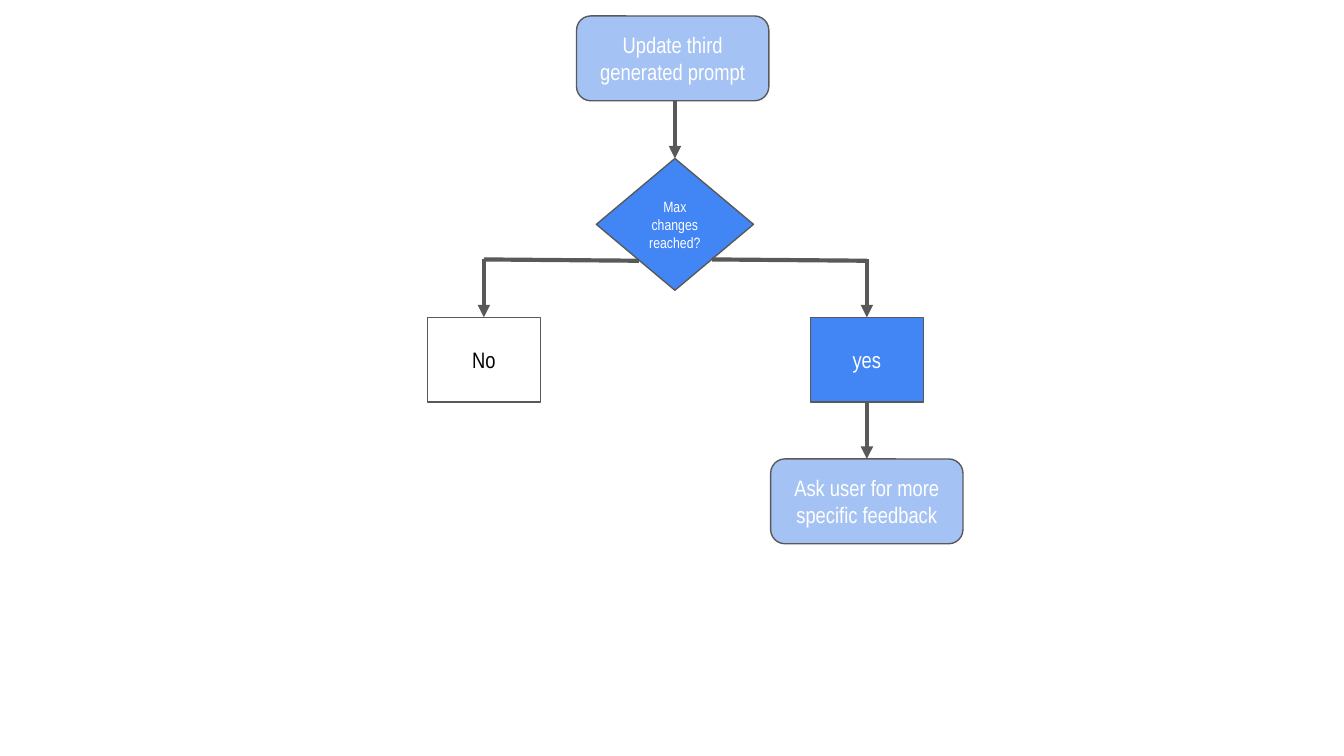
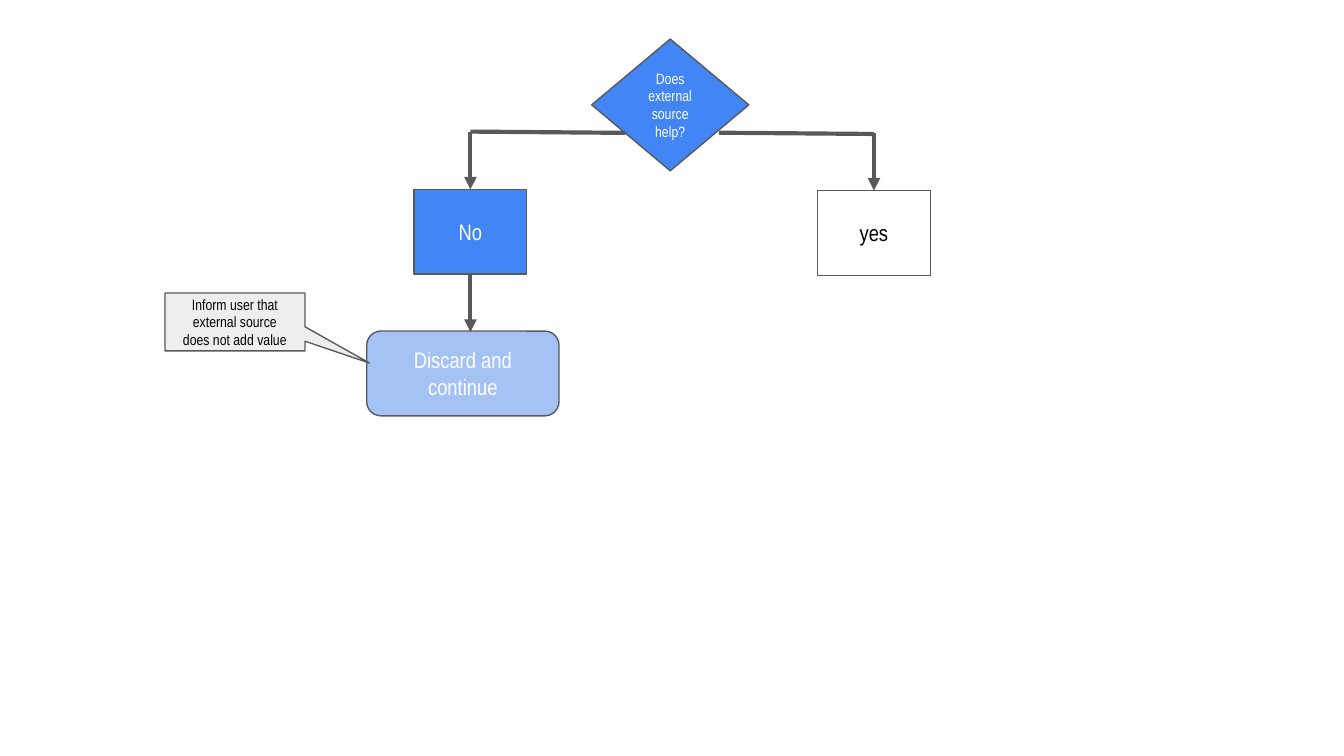
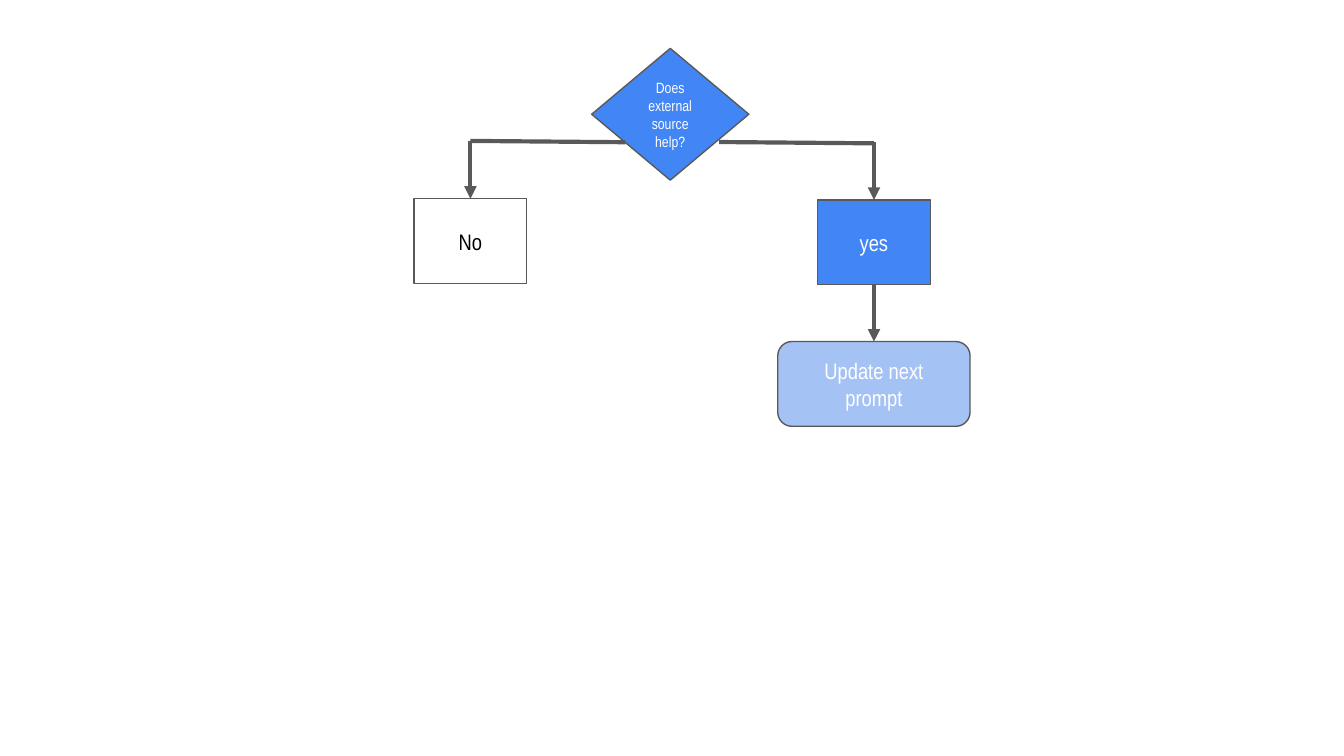
from lxml import etree
from pptx import Presentation
from pptx.dml.color import RGBColor
from pptx.enum.shapes import MSO_CONNECTOR, MSO_SHAPE as Preset
from pptx.enum.text import MSO_ANCHOR, PP_ALIGN
from pptx.oxml.ns import qn
from pptx.util import Pt

COLORS = {"blue": "4285F4", "light_blue": "A4C2F4", "gray": "EEEEEE",
          "white": "FFFFFF", "black": "000000", "line": "595959"}
FONT = "Arial Narrow"
DIAMOND = (84.2, 70.6)
ANSWER = (60.5, 45.4)
STEP = (103, 45.4)
CALLOUT = (75, 31)
ARROW = 31    # length of every vertical arrow
BRANCH = 83   # width of each horizontal branch
SLANT = 0.7   # fall of a branch from left to right
TOP, BOTTOM = 0, 2


def color(name):
    return RGBColor.from_string(COLORS[name])


def add_node(page, preset, left, top, size, text, fill, ink="white", points=12):
    width, height = size
    node = page.shapes.add_shape(preset, Pt(left), Pt(top), Pt(width), Pt(height))
    node.shadow.inherit = False
    node.fill.solid()
    node.fill.fore_color.rgb = color(fill)
    node.line.color.rgb = color("line")
    node.line.width = Pt(0.75)

    frame = node.text_frame
    frame.word_wrap = True
    frame.vertical_anchor = MSO_ANCHOR.MIDDLE
    frame.margin_left = frame.margin_right = Pt(7.2)
    frame.margin_top = frame.margin_bottom = Pt(7.2)
    para = frame.paragraphs[0]
    para.alignment = PP_ALIGN.CENTER
    span = para.add_run()
    span.text = text
    span.font.name = FONT
    span.font.size = Pt(points)
    span.font.color.rgb = color(ink)
    return node


def add_line(page, start, end, arrow=False):
    line = page.shapes.add_connector(MSO_CONNECTOR.STRAIGHT,
                                     *(Pt(value) for value in (*start, *end)))
    line.line.color.rgb = color("line")
    line.line.width = Pt(2.25)
    if arrow:
        outline = line.line._get_or_add_ln()
        etree.SubElement(outline, qn("a:tailEnd"), type="triangle")
    etree.SubElement(line._element.spPr, qn("a:effectLst"))
    return line


def add_down_arrow(page, x, top):
    return add_line(page, (x, top), (x, top + ARROW), arrow=True)


def add_step(page, left, top, text):
    step = add_node(page, Preset.ROUNDED_RECTANGLE, left, top, STEP, text, "light_blue")
    step.adjustments[0] = 0.167
    return step


def add_question(page, left, top, text):
    return add_node(page, Preset.DIAMOND, left, top, DIAMOND, text, "blue", points=8)


def add_answer(page, center, top, text, chosen, side):
    """Draw an answer box and its branch; side is 1 if the question lies to the right, else -1."""
    fill, ink = ("blue", "white") if chosen else ("white", "black")
    answer = add_node(page, Preset.RECTANGLE, center - ANSWER[0] / 2, top, ANSWER,
                      text, fill, ink)
    bend = top - ARROW
    add_down_arrow(page, center, bend).end_connect(answer, TOP)
    left, right = sorted((center, center + side * BRANCH))
    add_line(page, (left, bend), (right, bend + SLANT))
    return answer


def add_outcome(page, answer, step_left, text):
    """Draw the step that follows an answer and the arrow that leads to it."""
    center = (answer.left + answer.width / 2) / Pt(1)
    bottom = (answer.top + answer.height) / Pt(1)
    step = add_step(page, step_left, bottom + ARROW - 0.5, text)
    arrow = add_down_arrow(page, center, bottom)
    arrow.begin_connect(answer, BOTTOM)
    if abs(step_left + STEP[0] / 2 - center) < 1:
        arrow.end_connect(step, TOP)
    return step


def build_limit_page(page):
    add_step(page, 308.9, 8.6, "Update third generated prompt")
    question = add_question(page, 319.5, 84.9, "Max changes reached?")
    add_down_arrow(page, 361.6, 54).end_connect(question, TOP)
    add_answer(page, 259.2, 170, "No", False, 1)
    yes = add_answer(page, 464.4, 170, "yes", True, -1)
    add_outcome(page, yes, 412.9, "Ask user for more specific feedback")


def build_source_page(page, top, helps):
    """Draw the external source question; return both answer boxes."""
    add_question(page, 317, top, "Does external source help?")
    no = add_answer(page, 252, top + 80.6, "No", not helps, 1)
    yes = add_answer(page, 468.2, top + 81.2, "yes", helps, -1)
    return no, yes


def add_callout(page, left, top, text):
    callout = add_node(page, Preset.ROUNDED_RECTANGULAR_CALLOUT, left, top, CALLOUT,
                       text, "gray", "black", 8)
    for index, value in enumerate((0.96, 0.71, 0)):
        callout.adjustments[index] = value


def main():
    deck = Presentation()
    deck.slide_width, deck.slide_height = Pt(720), Pt(405)
    blank = deck.slide_layouts[6]
    limit, discard, update = (deck.slides.add_slide(blank) for _ in range(3))

    build_limit_page(limit)

    no, _ = build_source_page(discard, 20.9, helps=False)
    add_outcome(discard, no, 196.5, "Discard and continue")
    add_callout(discard, 88.4, 157, "Inform user that external source does not add value")

    _, yes = build_source_page(update, 25.9, helps=True)
    add_outcome(update, yes, 416.7, "Update next prompt")

    deck.save("out.pptx")


if __name__ == "__main__":
    main()
